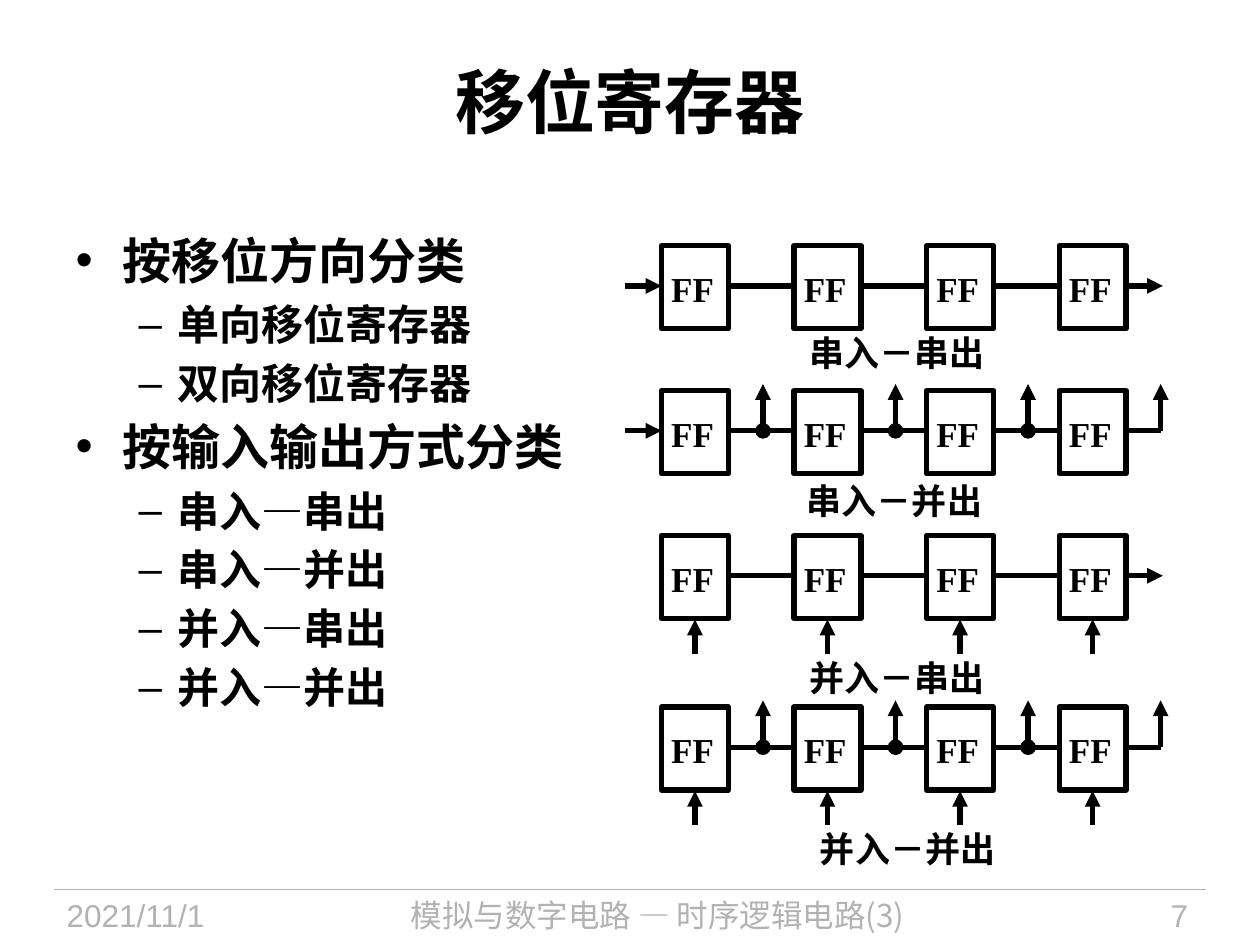
from pptx import Presentation
from pptx.dml.color import RGBColor
from pptx.enum.shapes import MSO_CONNECTOR, MSO_SHAPE
from pptx.enum.text import MSO_ANCHOR, MSO_AUTO_SIZE, PP_ALIGN
from pptx.oxml.ns import qn
from pptx.util import Pt
from lxml.etree import SubElement

BLACK = RGBColor(0, 0, 0)
GREY = RGBColor(0xB2, 0xB2, 0xB2)
SERIF, SANS, CJK = "Times New Roman", "Arial", "Noto Sans CJK SC"
BOLD = dict(name=SERIF, bold=True)

# Flip-flop grid
COUNT, PITCH, WIDE, HIGH, WIRE = 4, 75.75, 38.25, 47.5, 23

LIST = [
    (0, "按移位方向分类"),
    (1, "单向移位寄存器"),
    (1, "双向移位寄存器"),
    (0, "按输入输出方式分类"),
    (1, "串入—串出"),
    (1, "串入—并出"),
    (1, "并入—串出"),
    (1, "并入—并出"),
]
LEVELS = [  # size, left margin, indent, bullet
    (28, 27, -27, "•"),
    (24, 58.5, -22.5, "–"),
]
# top, label, label offset, parallel in, parallel out
ROWS = [
    (140.4, "串入－串出", (77.5, 45.4), False, False),
    (223.2, "串入－并出", (76, 47.5), False, True),
    (306, "并入－串出", (77.5, 65.5), True, False),
    (404, "并入－并出", (83.5, 65.5), True, True),
]


def style(run, size, color=BLACK, **look):
    for key, value in dict(look, size=Pt(size)).items():
        setattr(run.font, key, value)
    run.font.color.rgb = color
    SubElement(run.font._element, qn("a:ea")).set("typeface", CJK)


def place(shape, *box):
    for key, value in zip(("left", "top", "width", "height"), box):
        setattr(shape, key, Pt(value))


def write(shapes, text, box, size, color=BLACK, align=PP_ALIGN.LEFT, **look):
    frame = shapes.add_textbox(*map(Pt, box)).text_frame
    frame.word_wrap = True
    para = frame.paragraphs[0]
    para.alignment = align
    run = para.add_run()
    run.text = text
    style(run, size, color, **look)


def wire(shapes, start, end, head=None, tail=None, color=BLACK, width=3):
    line = shapes.add_connector(MSO_CONNECTOR.STRAIGHT, *map(Pt, start + end))
    line.line.color.rgb = color
    line.line.width = Pt(width)
    props = line._element.spPr
    for tag, kind in (("a:headEnd", head), ("a:tailEnd", tail)):
        if kind:
            SubElement(props.find(qn("a:ln")), qn(tag)).set("type", kind)
    SubElement(props, qn("a:effectLst"))


def title(shape, text, box):
    place(shape, *box)
    frame = shape.text_frame
    frame.vertical_anchor = MSO_ANCHOR.MIDDLE
    para = frame.paragraphs[0]
    para.alignment = PP_ALIGN.CENTER
    run = para.add_run()
    run.text = text
    style(run, 40, **BOLD)


def body(shape, items, box):
    place(shape, *box)
    frame = shape.text_frame
    frame.auto_size = MSO_AUTO_SIZE.NONE
    for pos, (level, text) in enumerate(items):
        para = frame.add_paragraph() if pos else frame.paragraphs[0]
        size, margin, indent, mark = LEVELS[level]
        para.level = level
        para.space_before = Pt(0)
        para.space_after = Pt(size * 0.2)
        props = para._p.get_or_add_pPr()
        props.set("marL", str(Pt(margin)))
        props.set("indent", str(Pt(indent)))
        SubElement(props, qn("a:buChar")).set("char", mark)
        run = para.add_run()
        run.text = text
        style(run, size, **BOLD)


def footer(shapes, left, top, wide):
    wire(shapes, (left, top), (left + wide, top), color=GREY, width=0.75)
    parts = [
        ("2021/11/1", 0, 135.5, SANS, PP_ALIGN.LEFT),
        ("模拟与数字电路 — 时序逻辑电路(3)", 142, 405.5, CJK, PP_ALIGN.CENTER),
        ("7", 559.5, 95.5, SANS, PP_ALIGN.RIGHT),
    ]
    for text, shift, width, face, align in parts:
        box = (left + shift, top, width, 31.5)
        write(shapes, text, box, 18, GREY, align, name=face)


def register(shapes, left, top, label, shift, par_in, par_out):
    """Draw one chain of flip-flops with its inputs, outputs and label."""
    mid = top + WIRE
    for pos in range(COUNT):
        x = left + pos * PITCH
        last = pos == COUNT - 1
        box = shapes.add_shape(MSO_SHAPE.RECTANGLE,
                               *map(Pt, (x, top, WIDE, HIGH)))
        box.shadow.inherit = False
        box.fill.background()
        box.line.color.rgb = BLACK
        box.line.width = Pt(3)
        write(shapes, "FF", (x - 1.5, top + 9, 42, 31), 20, **BOLD)
        if not last:
            wire(shapes, (x + WIDE, mid), (x + PITCH, mid))
        if par_in:
            foot = x + WIDE / 2
            wire(shapes, (foot, top + 67.5), (foot, top + 48), tail="triangle")
        if par_out:
            tap = x + 58
            wire(shapes, (tap, mid), (tap, top - 3.75),
                 head=None if last else "oval", tail="triangle")

    if not par_in:
        wire(shapes, (left - 21, mid), (left, mid), tail="triangle")
    end = left + (COUNT - 1) * PITCH + WIDE
    if par_out:
        wire(shapes, (end, mid), (end + 20, mid))
    else:
        wire(shapes, (end, mid), (end + 21, mid), tail="triangle")
    write(shapes, label, (left + shift[0], top + shift[1], 130, 31), 20, **BOLD)


def main():
    deck = Presentation()
    deck.slide_width, deck.slide_height = Pt(720), Pt(540)
    slide = deck.slides.add_slide(deck.slide_layouts[1])
    shapes = slide.shapes
    footer(shapes, 31, 508.25, 658)
    title(shapes.title, "移位寄存器", (36, 12.25, 648, 90))
    body(slide.placeholders[1], LIST, (36, 128, 312.5, 380))
    for top, *parts in ROWS:
        register(shapes, 378, top, *parts)
    deck.save("out.pptx")


if __name__ == "__main__":
    main()
